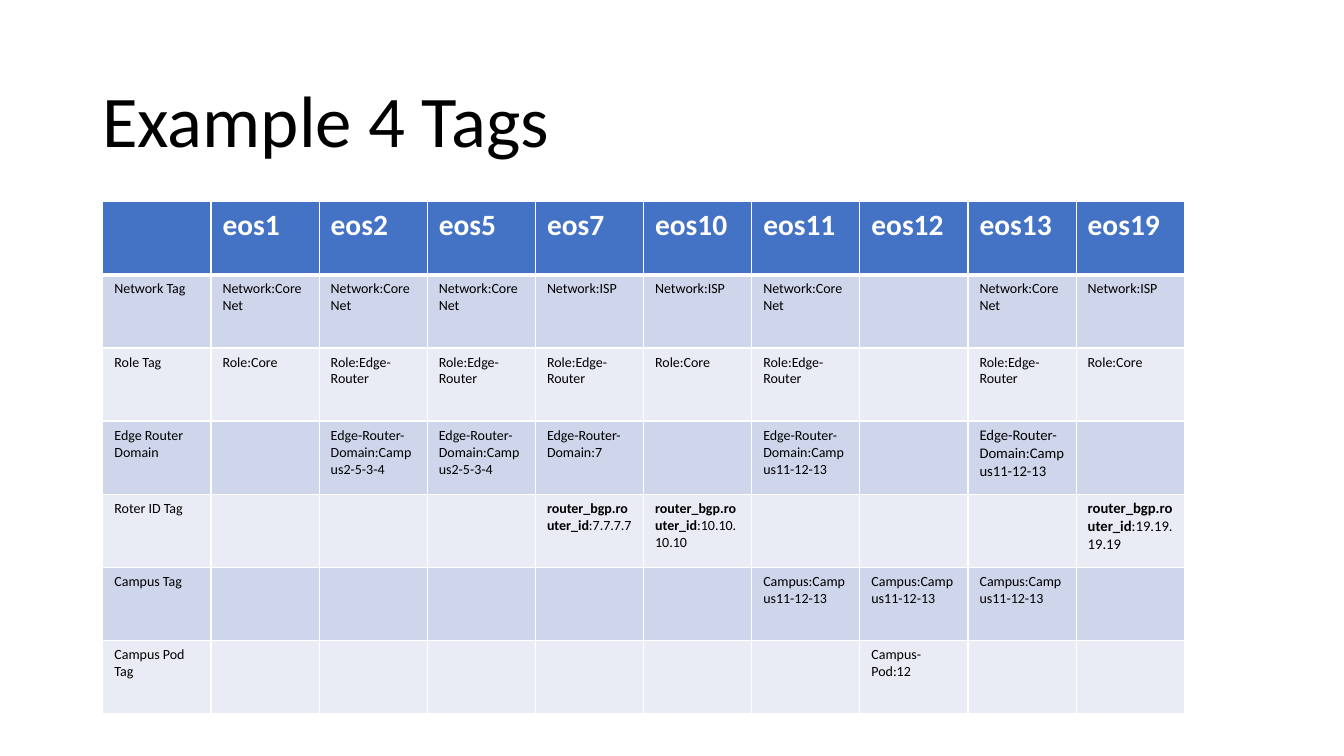
import pptx
import pptx.dml.color
import pptx.enum.text
import pptx.util
from lxml import etree
from pptx.oxml.ns import qn

Pt = pptx.util.Pt
RGBColor = pptx.dml.color.RGBColor

TITLE = "Example 4 Tags"
ROUTERS = ["eos1", "eos2", "eos5", "eos7", "eos10", "eos11", "eos12", "eos13", "eos19"]

CORE_NET, ISP = "Network:CoreNet", "Network:ISP"
CORE, EDGE = "Role:Core", "Role:Edge-Router"
DOMAIN_2 = "Edge-Router-Domain:Campus2-5-3-4"
DOMAIN_7 = "Edge-Router-Domain:7"
DOMAIN_11 = "Edge-Router-Domain:Campus11-12-13"
ROUTER_ID = "router_bgp.router_id"
CAMPUS_11 = "Campus:Campus11-12-13"

# Each row: label, then the tag of each router that has one
TAG_ROWS = [
    ("Network Tag", {"eos1": CORE_NET, "eos2": CORE_NET, "eos5": CORE_NET, "eos7": ISP,
                     "eos10": ISP, "eos11": CORE_NET, "eos13": CORE_NET, "eos19": ISP}),
    ("Role Tag", {"eos1": CORE, "eos2": EDGE, "eos5": EDGE, "eos7": EDGE,
                  "eos10": CORE, "eos11": EDGE, "eos13": EDGE, "eos19": CORE}),
    ("Edge Router Domain", {"eos2": DOMAIN_2, "eos5": DOMAIN_2, "eos7": DOMAIN_7,
                            "eos11": DOMAIN_11, "eos13": DOMAIN_11}),
    ("Roter ID Tag", {"eos7": ROUTER_ID + ":7.7.7.7", "eos10": ROUTER_ID + ":10.10.10.10",
                      "eos19": ROUTER_ID + ":19.19.19.19"}),
    ("Campus Tag", {"eos11": CAMPUS_11, "eos12": CAMPUS_11, "eos13": CAMPUS_11}),
    ("Campus Pod Tag", {"eos12": "Campus-Pod:12"}),
]
LARGER_CELLS = {("Edge Router Domain", "eos13"), ("Roter ID Tag", "eos19")}

FONT = "Calibri"
BLACK = RGBColor(0x00, 0x00, 0x00)
WHITE = RGBColor(0xFF, 0xFF, 0xFF)
HEADER_BLUE = RGBColor(0x44, 0x72, 0xC4)
BANDS = [RGBColor(0xCF, 0xD5, 0xEA), RGBColor(0xE9, 0xEB, 0xF5)]

TABLE_LEFT, TABLE_TOP = 73.5, 144.2
COLUMN_WIDTH, ROW_HEIGHT = 77.25, 52.2
MARGIN_X, MARGIN_Y = 8.25, 4.13


def write(para, text, size, color=BLACK, bold=False):
    span = para.add_run()
    span.text = text
    span.font.name = FONT
    span.font.size = Pt(size)
    span.font.bold = bold
    span.font.color.rgb = color


def draw_borders(cell, top=1, bottom=1):
    properties = cell._tc.get_or_add_tcPr()
    for side, width in (("L", 1), ("R", 1), ("T", top), ("B", bottom)):
        line = etree.SubElement(properties, qn("a:ln" + side), w=str(Pt(width)))
        fill = etree.SubElement(line, qn("a:solidFill"))
        etree.SubElement(fill, qn("a:srgbClr"), val=str(WHITE))


def style_cell(cell, color, **borders):
    draw_borders(cell, **borders)
    cell.fill.solid()
    cell.fill.fore_color.rgb = color
    cell.margin_left = cell.margin_right = Pt(MARGIN_X)
    cell.margin_top = cell.margin_bottom = Pt(MARGIN_Y)


def write_tag(cell, tag, size):
    """Write a tag, with the router ID key in bold."""
    para = cell.text_frame.paragraphs[0]
    if tag.startswith(ROUTER_ID):
        write(para, ROUTER_ID, size, bold=True)
        tag = tag.removeprefix(ROUTER_ID)
    if tag:
        write(para, tag, size)


def add_title(page):
    box = page.shapes.add_textbox(Pt(66), Pt(44), Pt(828), Pt(89.3))
    frame = box.text_frame
    frame.word_wrap = True
    frame.vertical_anchor = pptx.enum.text.MSO_ANCHOR.MIDDLE
    para = frame.paragraphs[0]
    para.line_spacing = 0.9
    write(para, TITLE, 52)


def add_tag_table(page):
    row_count, column_count = len(TAG_ROWS) + 1, len(ROUTERS) + 1
    table = page.shapes.add_table(
        row_count, column_count, Pt(TABLE_LEFT), Pt(TABLE_TOP),
        Pt(COLUMN_WIDTH * column_count), Pt(ROW_HEIGHT * row_count)).table
    for column in table.columns:
        column.width = Pt(COLUMN_WIDTH)
    for row in table.rows:
        row.height = Pt(ROW_HEIGHT)

    for column, router in enumerate([""] + ROUTERS):
        cell = table.cell(0, column)
        style_cell(cell, HEADER_BLUE, bottom=3)
        if router:
            write(cell.text_frame.paragraphs[0], router, 21, color=WHITE, bold=True)

    for row, (label, tags) in enumerate(TAG_ROWS, start=1):
        texts = [label] + [tags.get(router, "") for router in ROUTERS]
        for column, text in enumerate(texts):
            cell = table.cell(row, column)
            style_cell(cell, BANDS[(row - 1) % 2], top=3 if row == 1 else 1)
            larger = column > 0 and (label, ROUTERS[column - 1]) in LARGER_CELLS
            write_tag(cell, text, 10.5 if larger else 10)


def main():
    deck = pptx.Presentation()
    deck.slide_width, deck.slide_height = Pt(960), Pt(540)
    page = deck.slides.add_slide(deck.slide_layouts[6])
    add_title(page)
    add_tag_table(page)
    deck.save("out.pptx")


if __name__ == "__main__":
    main()
